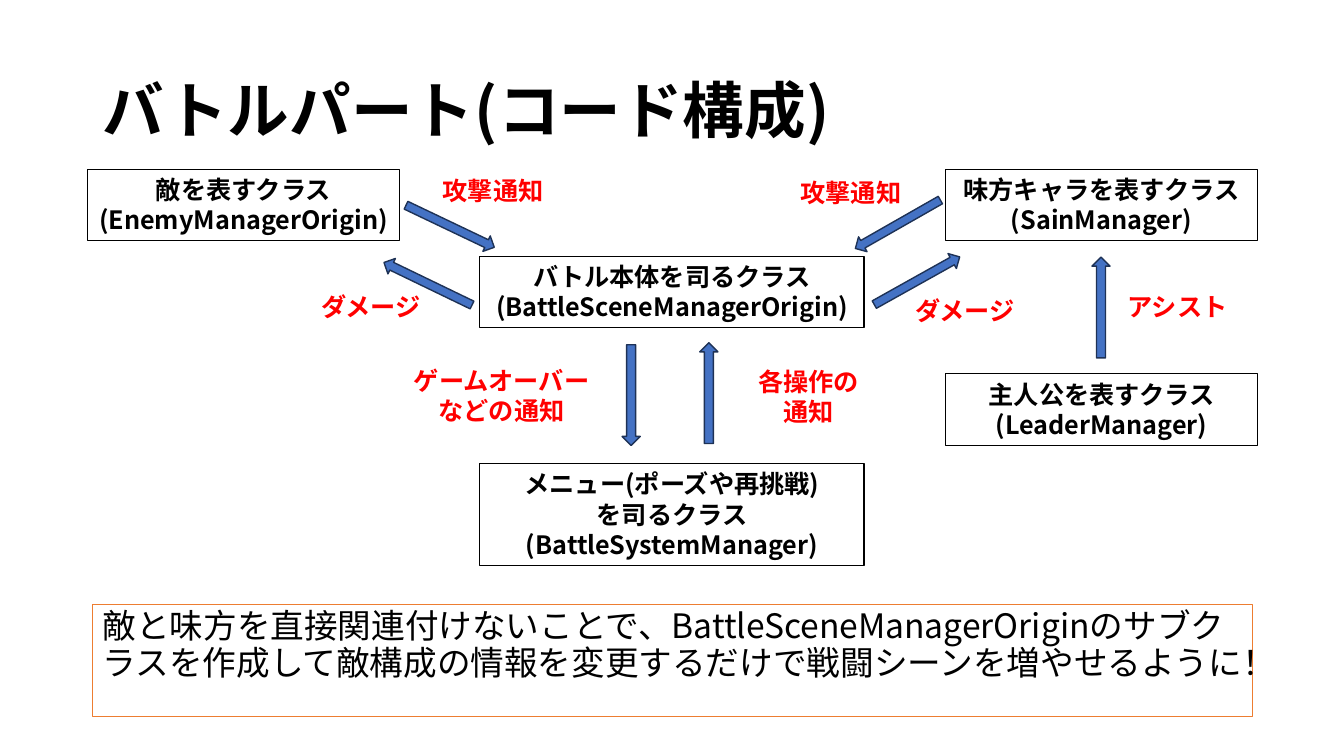
from lxml import etree
from pptx import Presentation
from pptx.dml.color import RGBColor as RGB
from pptx.enum.shapes import MSO_SHAPE as SHAPE
from pptx.enum.text import MSO_ANCHOR as ANCHOR, MSO_AUTO_SIZE as AUTO, PP_ALIGN as ALIGN
from pptx.oxml.ns import qn
from pptx.util import Inches, Pt

FONT = "Noto Sans CJK JP"
HEX = {"black": "000000", "red": "FF0000", "blue": "4472C4",
       "navy": "1E3256", "orange": "ED7D31"}


def tint(name):
    return RGB.from_string(HEX[name])


def write(frame, text, size=18, color="black", bold=True, align=ALIGN.CENTER,
          space=1.0, anchor=ANCHOR.TOP):
    frame.word_wrap = True
    frame.auto_size = AUTO.NONE
    frame.vertical_anchor = anchor
    for i, line in enumerate(text.split("\n")):
        para = frame.paragraphs[0] if i == 0 else frame.add_paragraph()
        para.alignment = align
        para.line_spacing = space
        para.space_before = Pt(0)
        run = para.add_run()
        run.text = line
        run.font.size = Pt(size)
        run.font.bold = bold
        run.font.name = FONT
        run.font.color.rgb = tint(color)
        east = etree.SubElement(run.font._element, qn("a:ea"))
        east.set("typeface", FONT)


def label(slide, text, x, y, w=1.34, h=0.4, edge=None, **form):
    box = slide.shapes.add_textbox(Inches(x), Inches(y), Inches(w), Inches(h))
    if edge:
        box.line.color.rgb = tint(edge)
        box.line.width = Pt(0.75)
    write(box.text_frame, text, **form)


def arrow(slide, x, y, w, h, turn):
    shape = slide.shapes.add_shape(SHAPE.DOWN_ARROW, Inches(x), Inches(y),
                                   Inches(w), Inches(h))
    shape.rotation = turn
    shape.shadow.inherit = False
    shape.fill.solid()
    shape.fill.fore_color.rgb = tint("blue")
    shape.line.color.rgb = tint("navy")
    shape.line.width = Pt(1)


def head(slide, text):
    title = slide.shapes.title
    title.left, title.top = Inches(0.92), Inches(0.4)
    title.width, title.height = Inches(11.5), Inches(1.45)
    write(title.text_frame, text, size=44, align=ALIGN.LEFT, space=0.9,
          anchor=ANCHOR.MIDDLE)


def main():
    deck = Presentation()
    deck.slide_width, deck.slide_height = Inches(13.33), Inches(7.5)
    slide = deck.slides.add_slide(deck.slide_layouts[5])
    head(slide, "バトルパート(コード構成)")

    side, mid = 3.09, 3.81
    for text, x, y, w, h in (
        ("敵を表すクラス\n(EnemyManagerOrigin)", 0.87, 1.68, side, 0.71),
        ("味方キャラを表すクラス\n(SainManager)", 9.38, 1.68, side, 0.71),
        ("主人公を表すクラス\n(LeaderManager)", 9.38, 3.71, side, 0.71),
        ("バトル本体を司るクラス\n(BattleSceneManagerOrigin)", 4.76, 2.54, mid, 0.71),
        ("メニュー(ポーズや再挑戦)\nを司るクラス\n(BattleSystemManager)",
         4.76, 4.6, mid, 1.01),
    ):
        label(slide, text, x, y, w, h, edge="black")

    for x, y, turn in ((10.83, 2.55, 180), (6.94, 3.4, 180), (6.17, 3.42, 0)):
        arrow(slide, x, y, 0.18, 1, turn)
    for x, y, turn in ((8.82, 1.74, 60.3), (9.01, 2.3, 240.8),
                       (4.38, 1.76, 295.5), (4.16, 2.33, 115.8)):
        arrow(slide, x, y, 0.17, 0.97, turn)

    for text, x, y in (("攻撃通知", 4.22, 1.69), ("攻撃通知", 7.77, 1.71),
                       ("ダメージ", 3.01, 2.84), ("ダメージ", 8.9, 2.88),
                       ("アシスト", 11.01, 2.84)):
        label(slide, text, x, y, color="red")
    label(slide, "ゲームオーバーなどの通知", 3.96, 3.57, 2.03, 0.71, color="red")
    label(slide, "各操作の通知", 7.35, 3.58, h=0.71, color="red")

    label(slide, "敵と味方を直接関連付けないことで、BattleSceneManagerOriginのサブクラスを"
          "作成して敵構成の情報を変更するだけで戦闘シーンを増やせるように！",
          0.92, 6, 11.5, 1.11, edge="orange", size=24, bold=False,
          align=ALIGN.LEFT, space=0.9)
    deck.save("out.pptx")


if __name__ == "__main__":
    main()
